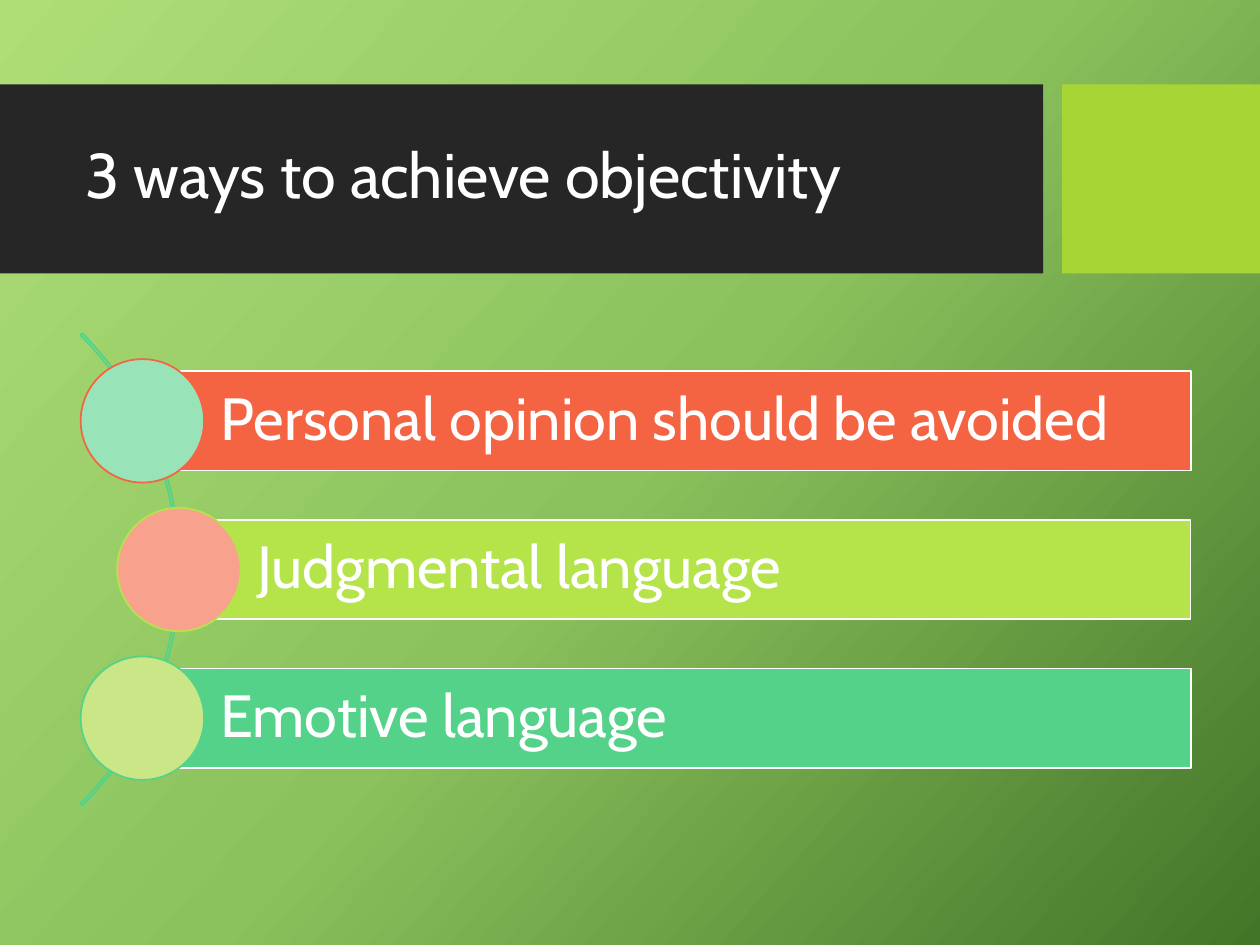
from copy import deepcopy

from pptx import Presentation
from pptx.dml.color import RGBColor
from pptx.enum.shapes import MSO_SHAPE
from pptx.enum.text import MSO_ANCHOR, PP_ALIGN
from pptx.oxml.ns import qn
from pptx.util import Inches, Pt

RECTANGLE = MSO_SHAPE.RECTANGLE
OVAL = MSO_SHAPE.OVAL
BLOCK_ARC = MSO_SHAPE.BLOCK_ARC
MIDDLE = MSO_ANCHOR.MIDDLE
LEFT = PP_ALIGN.LEFT
FONT = "Cabin"


def color(hex_value):
    return RGBColor.from_string(hex_value)


def add_shape(kind, left, top, width, height, fill=None, line=None):
    shape = slide.shapes.add_shape(
        kind, Inches(left), Inches(top), Inches(width), Inches(height))
    shape.shadow.inherit = False
    if fill:
        shape.fill.solid()
        shape.fill.fore_color.rgb = color(fill)
    else:
        shape.fill.background()
    if line:
        shape.line.color.rgb = color(line)
        shape.line.width = Pt(1)
    else:
        shape.line.fill.background()
    return shape


presentation = Presentation()
presentation.slide_width = Inches(10)
presentation.slide_height = Inches(7.5)
slide = presentation.slides.add_slide(presentation.slide_layouts[6])

# Background gradient with three stops, running down to the right
background = slide.background.fill
background.gradient()
background.gradient_angle = 360 - 42
stop_list = next(slide.background._cSld.iter(qn("a:gsLst")))
stop_list.append(deepcopy(stop_list[-1]))
gradient = [(0, "AFDE77"), (0.5, "8BC25D"), (1, "437528")]
for stop, (position, stop_color) in zip(background.gradient_stops, gradient):
    stop.position = position
    stop.color.rgb = color(stop_color)

# Title band and accent block
add_shape(RECTANGLE, 0, 0.67, 8.28, 1.5, "262626")
add_shape(RECTANGLE, 8.43, 0.67, 1.57, 1.5, "A7D535")
title = slide.shapes.add_textbox(
    Inches(0.58), Inches(0.82), Inches(7.54), Inches(1.18))
texts = [(title, "3 ways to achieve objectivity", 36)]

# Curve behind the list
arc = add_shape(BLOCK_ARC, -3.87, 1.87, 5.3, 5.3, line="54D289")
for index, value in enumerate([189, 27, 0.004]):
    arc.adjustments[index] = value

# List bars, each with a circle centred on its left edge
BAR_RIGHT, BAR_HEIGHT, CIRCLE_SIZE = 9.45, 0.79, 0.98
FIRST_CENTER, ROW_STEP = 3.34, 1.18
ways = [
    ("Personal opinion should be avoided", 1.13, "F46442", "98E4B8"),
    ("Judgmental language", 1.42, "B5E44A", "F8A28E"),
    ("Emotive language", 1.13, "54D289", "CAE686"),
]
for row, (text, left, bar_color, circle_color) in enumerate(ways):
    center = FIRST_CENTER + row * ROW_STEP
    bar = add_shape(RECTANGLE, left, center - BAR_HEIGHT / 2,
                    BAR_RIGHT - left, BAR_HEIGHT, bar_color, "FFFFFF")
    bar.text_frame.margin_left = Inches(0.62)
    bar.text_frame.margin_right = Inches(0.09)
    bar.text_frame.margin_top = bar.text_frame.margin_bottom = Inches(0.09)
    texts.append((bar, text, 34))
    add_shape(OVAL, left - CIRCLE_SIZE / 2, center - CIRCLE_SIZE / 2,
              CIRCLE_SIZE, CIRCLE_SIZE, circle_color, bar_color)

# Text of the title and the bars
for shape, text, size in texts:
    text_frame = shape.text_frame
    text_frame.text = text
    text_frame.word_wrap = True
    text_frame.vertical_anchor = MIDDLE
    paragraph = text_frame.paragraphs[0]
    paragraph.alignment = LEFT
    paragraph.line_spacing = 0.9
    font = paragraph.runs[0].font
    font.name = FONT
    font.size = Pt(size)
    font.color.rgb = color("FFFFFF")

presentation.save("out.pptx")
